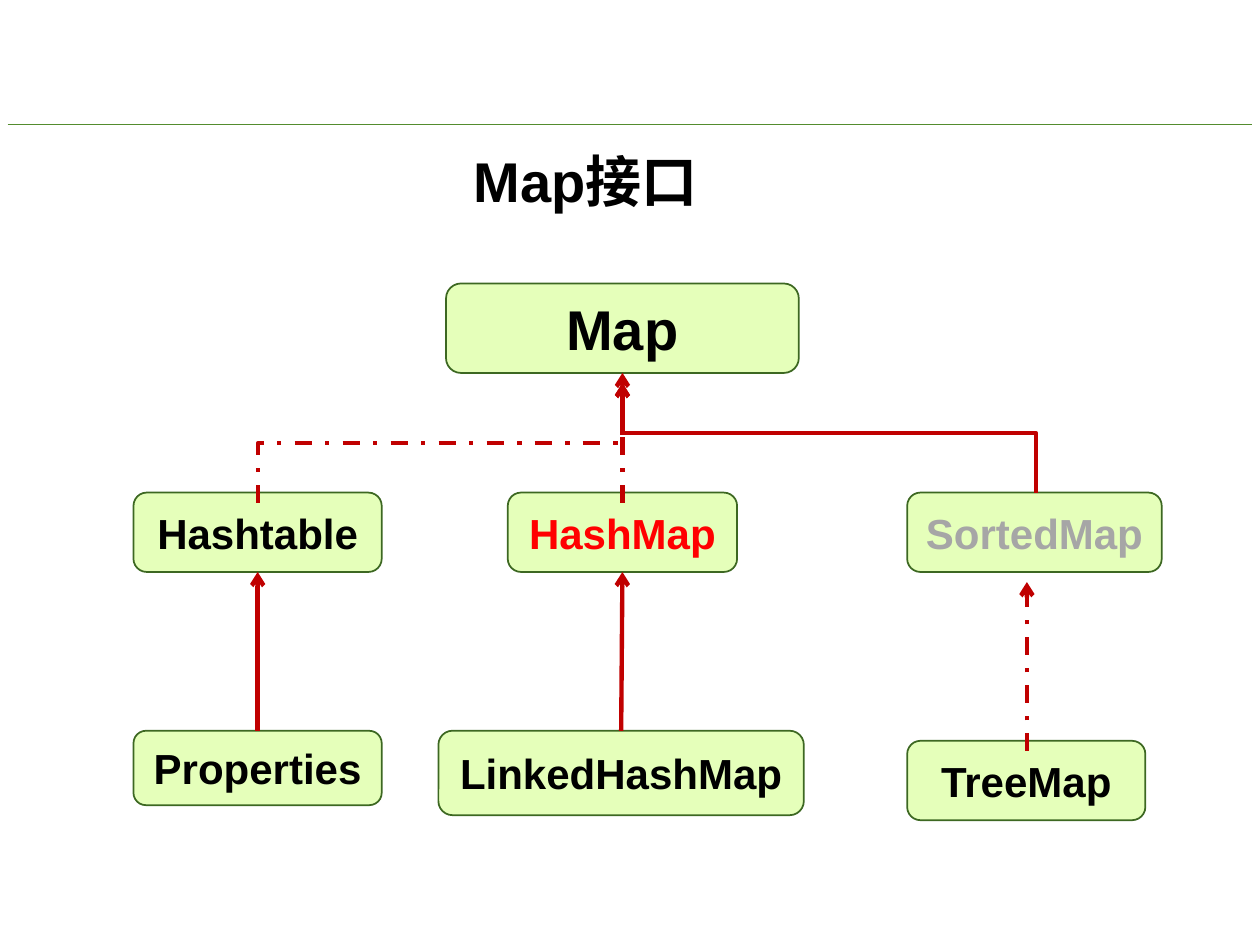
from lxml.etree import SubElement
from pptx import Presentation
from pptx.dml.color import RGBColor
from pptx.enum.dml import MSO_LINE
from pptx.enum.shapes import MSO_CONNECTOR, MSO_SHAPE
from pptx.enum.text import MSO_ANCHOR, PP_ALIGN
from pptx.oxml.ns import qn
from pptx.util import Inches, Pt

BLACK = RGBColor(0x00, 0x00, 0x00)
RED = RGBColor(0xFF, 0x00, 0x00)
GRAY = RGBColor(0xA6, 0xA6, 0xA6)
LIME = RGBColor(0xE5, 0xFF, 0xBA)
DARK_GREEN = RGBColor(0x3D, 0x68, 0x22)
RULE_GREEN = RGBColor(0x53, 0x8C, 0x2E)
ARROW_RED = RGBColor(0xC0, 0x00, 0x00)

prs = Presentation()
prs.slide_width, prs.slide_height = Inches(10), Inches(7.5)
s = prs.slides.add_slide(prs.slide_layouts[5])
U = prs.slide_width / 100  # grid unit: one hundredth of the slide width


def set_font(p, size, color):
    p.font.name, p.font.size, p.font.bold = "Arial", Pt(size), True
    p.font.color.rgb = color


def add_line(kind, start, end, color, width, dash=None, arrow=True):
    """Connector between two grid points; elbows leave and arrive vertically."""
    elbow = kind == MSO_CONNECTOR.ELBOW
    points = [start, end]
    if elbow:  # turn the ends about the centre, as the frame is rotated back
        cx, cy = (start[0] + end[0]) / 2, (start[1] + end[1]) / 2
        points = [(cx - (y - cy), cy + (x - cx)) for x, y in points]
    c = s.shapes.add_connector(kind, *[int(v * U) for pt in points for v in pt])
    if elbow:
        c._element.spPr.find(qn("a:xfrm")).set("rot", str(270 * 60000))
    c.line.color.rgb, c.line.width = color, Pt(width)
    if dash:
        c.line.dash_style = dash
    if arrow:
        SubElement(c.line._get_or_add_ln(), qn("a:tailEnd"), type="arrow")
    SubElement(c._element.spPr, qn("a:effectLst"))
    return c


# Rule under the header
add_line(MSO_CONNECTOR.STRAIGHT, (0.6, 9.9), (99.4, 9.9), RULE_GREEN, 0.5, arrow=False)

# Title
title = s.shapes.title
title.left, title.top, title.width, title.height = [
    int(v * U) for v in (36.6, 12, 21.9, 5.3)]
tf = title.text_frame
tf.text = "Map接口"
tf.word_wrap, tf.vertical_anchor = True, MSO_ANCHOR.MIDDLE
p = tf.paragraphs[0]
p.alignment, p.line_spacing = PP_ALIGN.LEFT, 0.9
set_font(p, 32, BLACK)

# Type boxes: name, left, top, width, height, text size, text colour
boxes = {}
for name, x, y, w, h, size, color in [
    ("Map", 35.4, 22.5, 28, 7.1, 32, BLACK),
    ("Hashtable", 10.6, 39.1, 19.7, 6.3, 24, BLACK),
    ("HashMap", 40.3, 39.1, 18.2, 6.3, 24, RED),
    ("SortedMap", 72, 39.1, 20.2, 6.3, 24, GRAY),
    ("Properties", 10.6, 58, 19.7, 5.9, 24, BLACK),
    ("LinkedHashMap", 34.8, 58, 29, 6.7, 24, BLACK),
    ("TreeMap", 72, 58.8, 18.9, 6.3, 24, BLACK),
]:
    sp = s.shapes.add_shape(MSO_SHAPE.ROUNDED_RECTANGLE,
                            *[int(v * U) for v in (x, y, w, h)])
    sp.shadow.inherit = False
    sp.fill.solid()
    sp.fill.fore_color.rgb = LIME
    sp.line.color.rgb, sp.line.width = DARK_GREEN, Pt(1)
    tf = sp.text_frame
    tf.text = name
    tf.vertical_anchor = MSO_ANCHOR.MIDDLE
    p = tf.paragraphs[0]
    p.alignment = PP_ALIGN.CENTER
    set_font(p, size, color)
    boxes[name] = sp

# Elbow and free-standing arrows; dash-dot marks implementing classes
for kind, start, end, dash in [
    (MSO_CONNECTOR.ELBOW, (20.5, 39.9), (49.4, 30.4), MSO_LINE.DASH_DOT),
    (MSO_CONNECTOR.ELBOW, (82.2, 39.1), (49.4, 29.6), None),
    (MSO_CONNECTOR.STRAIGHT, (81.5, 59.6), (81.5, 46.2), MSO_LINE.DASH_DOT),
    (MSO_CONNECTOR.STRAIGHT, (49.4, 39.9), (49.4, 30.4), MSO_LINE.DASH_DOT),
]:
    add_line(kind, start, end, ARROW_RED, 2.5, dash)

# Subclass arrows joined to their boxes
for child, parent in [("Properties", "Hashtable"), ("LinkedHashMap", "HashMap")]:
    c = add_line(MSO_CONNECTOR.STRAIGHT, (0, 0), (0, 0), ARROW_RED, 2.5)
    c.begin_connect(boxes[child], 0)
    c.end_connect(boxes[parent], 2)

prs.save("out.pptx")
